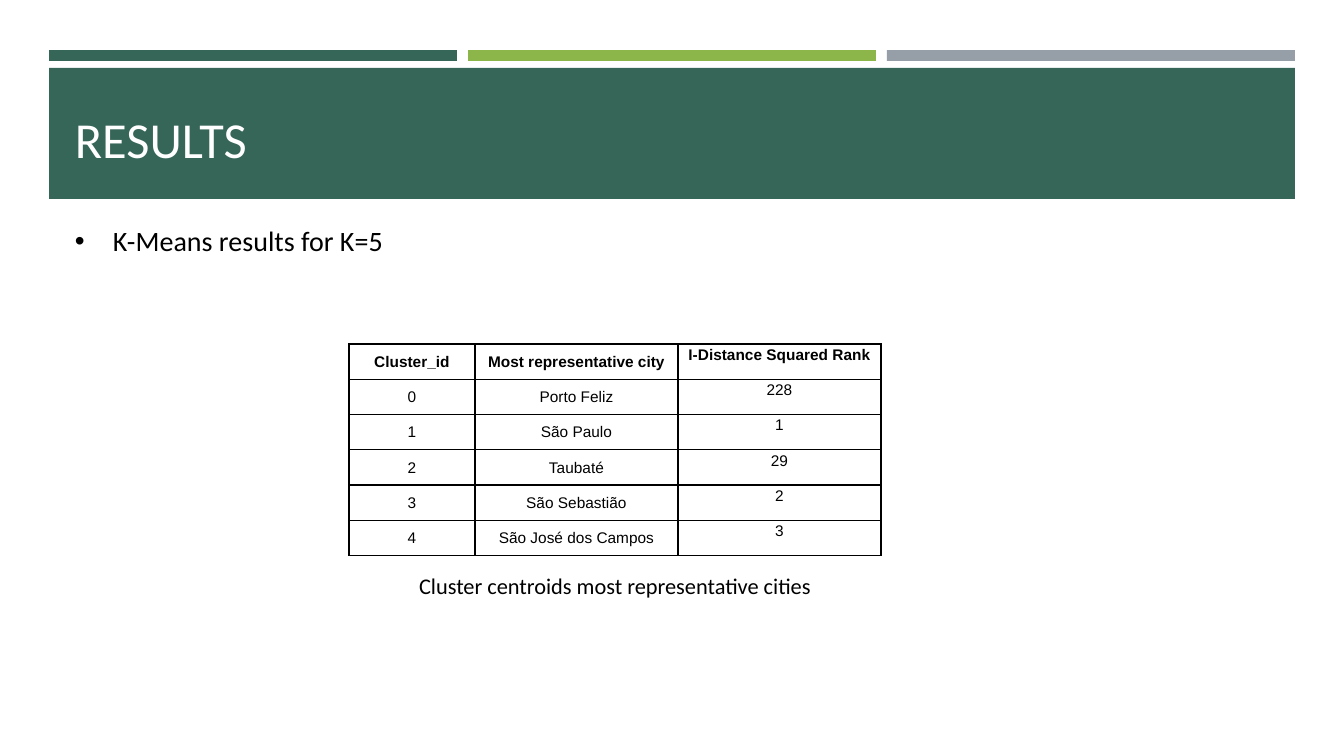
from dataclasses import dataclass

from lxml import etree
from pptx import Presentation
from pptx import util as u
from pptx.dml.color import RGBColor
from pptx.enum import shapes, text
from pptx.oxml import ns

PX = 914400 / 100.8
GREEN, LIME, GREY = "366658", "8CB64A", "969FA7"
BLACK, WHITE = "000000", "FFFFFF"
BAR_LEFT, BAR_STEP = 49, 419
COLUMN_WIDTHS = (126, 203, 203)
ROW_HEIGHT = 35
CELL_PAD = 7
ROWS = (
    ("Cluster_id", "Most representative city", "I-Distance Squared Rank"),
    ("0", "Porto Feliz", "228"),
    ("1", "São Paulo", "1"),
    ("2", "Taubaté", "29"),
    ("3", "São Sebastião", "2"),
    ("4", "São José dos Campos", "3"),
)


@dataclass
class Block:
    x: int
    y: int
    w: int
    h: int
    fill: str


@dataclass
class Label:
    words: str
    x: int
    y: int
    w: int
    h: int
    size: int
    color: str = BLACK
    align: text.PP_ALIGN = text.PP_ALIGN.LEFT
    anchor: text.MSO_ANCHOR = text.MSO_ANCHOR.TOP
    bullet_indent: int = 0


BLOCKS = [
    Block(BAR_LEFT + i * BAR_STEP, 50, 408, 11, fill)
    for i, fill in enumerate((GREEN, LIME, GREY))
] + [Block(49, 68, 1246, 131, GREEN)]

LABELS = (
    Label("RESULTS", 65, 62, 1216, 112, 36, WHITE, anchor=text.MSO_ANCHOR.BOTTOM),
    Label("K-Means results for K=5", 65, 219, 1257, 45, 20, bullet_indent=38),
    Label("Cluster centroids most representative cities", 205, 567, 820, 38, 16,
          align=text.PP_ALIGN.CENTER),
)


def px(n: int) -> u.Emu:
    return u.Emu(round(n * PX))


def rgb(value: str) -> RGBColor:
    return RGBColor.from_string(value)


def add_run(p, words: str, font: str, size: int, color: str, bold: bool = False) -> None:
    r = p.add_run()
    r.text = words
    r.font.name = font
    r.font.size = u.Pt(size)
    r.font.bold = bold
    r.font.color.rgb = rgb(color)


def add_block(slide, block: Block) -> None:
    sp = slide.shapes.add_shape(
        shapes.MSO_SHAPE.RECTANGLE, px(block.x), px(block.y), px(block.w), px(block.h)
    )
    sp.shadow.inherit = False
    sp.fill.solid()
    sp.fill.fore_color.rgb = rgb(block.fill)
    sp.line.fill.background()


def add_bullet(p, indent: int) -> None:
    pPr = p._p.get_or_add_pPr()
    pPr.set("marL", str(px(indent)))
    pPr.set("indent", str(-px(indent)))
    etree.SubElement(pPr, ns.qn("a:buFont")).set("typeface", "Arial")
    etree.SubElement(pPr, ns.qn("a:buChar")).set("char", "•")


def add_label(slide, label: Label) -> None:
    sp = slide.shapes.add_textbox(px(label.x), px(label.y), px(label.w), px(label.h))
    tf = sp.text_frame
    tf.word_wrap = True
    tf.vertical_anchor = label.anchor
    p = tf.paragraphs[0]
    p.alignment = label.align
    if label.bullet_indent:
        add_bullet(p, label.bullet_indent)
    add_run(p, label.words, "Calibri", label.size, label.color)


def add_borders(cell, color: str) -> None:
    tcPr = cell._tc.get_or_add_tcPr()
    for side in ("lnL", "lnR", "lnT", "lnB"):
        ln = etree.SubElement(tcPr, ns.qn(f"a:{side}"), w=str(u.Pt(1)))
        fill = etree.SubElement(ln, ns.qn("a:solidFill"))
        etree.SubElement(fill, ns.qn("a:srgbClr")).set("val", color)


def add_cluster_table(slide, x: int, y: int) -> None:
    frame = slide.shapes.add_table(
        len(ROWS), len(COLUMN_WIDTHS), px(x), px(y),
        px(sum(COLUMN_WIDTHS)), px(ROW_HEIGHT * len(ROWS)),
    )
    table = frame.table
    table.first_row = table.horz_banding = False
    for column, width in zip(table.columns, COLUMN_WIDTHS):
        column.width = px(width)
    for i, values in enumerate(ROWS):
        table.rows[i].height = px(ROW_HEIGHT)
        for j, value in enumerate(values):
            cell = table.cell(i, j)
            is_rank = j == len(values) - 1
            cell.margin_left = cell.margin_right = px(CELL_PAD)
            cell.margin_top = cell.margin_bottom = px(0 if is_rank else CELL_PAD)
            add_borders(cell, BLACK)
            cell.fill.background()
            p = cell.text_frame.paragraphs[0]
            p.alignment = text.PP_ALIGN.CENTER
            p.line_spacing = 1.15
            add_run(p, value, "Arial", 11, BLACK, bold=i == 0)


def main() -> None:
    prs = Presentation()
    prs.slide_width, prs.slide_height = px(1344), px(756)
    slide = prs.slides.add_slide(prs.slide_layouts[6])
    for block in BLOCKS:
        add_block(slide, block)
    for label in LABELS:
        add_label(slide, label)
    add_cluster_table(slide, 349, 344)
    prs.save("out.pptx")


if __name__ == "__main__":
    main()
